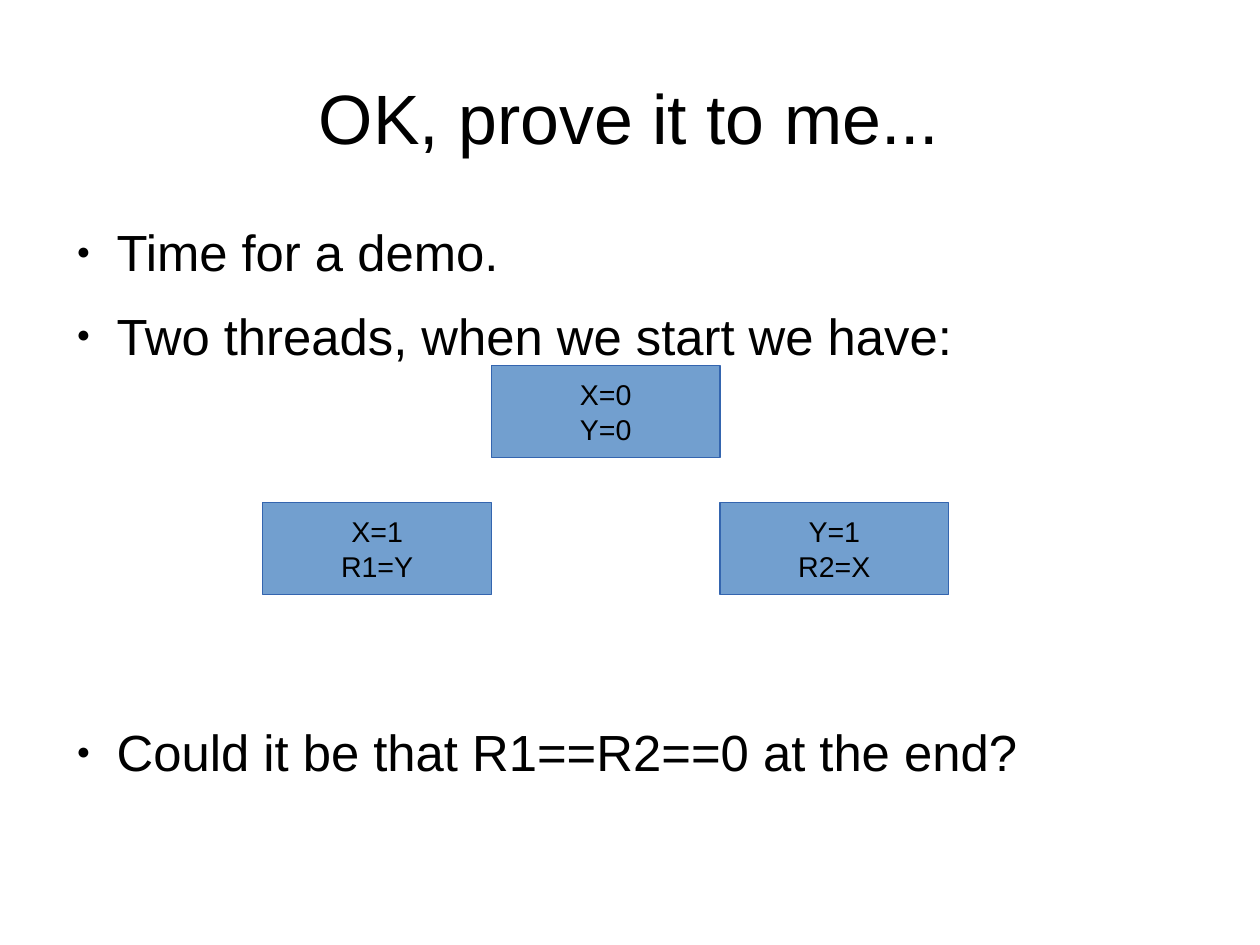
import pptx
import pptx.util
import pptx.dml.color
import pptx.enum.shapes
import pptx.enum.text
import pptx.oxml.ns
import lxml.etree

# Content
TITLE = "OK, prove it to me..."
BULLETS = [  # text, space before in points
    ("Time for a demo.", 0),
    ("Two threads, when we start we have:", 0),
    ("Could it be that R1==R2==0 at the end?", 209.8),
]
STATES = [  # column, row, lines
    (1, 0, ["X=0", "Y=0"]),
    (0, 1, ["X=1", "R1=Y"]),
    (2, 1, ["Y=1", "R2=X"]),
]

# Slide size in centimetres, layout in inches
WIDTH, HEIGHT = 28, 21
MARGIN, TEXT_W = 0.55, 9.92
GRID_X, GRID_Y = 2.3, 3.2
BOX_W, BOX_H, ROW_STEP = 2, 0.8, 1.2
INDENT, HANGING = 0.47, -0.35

Inches, Pt, Cm = pptx.util.Inches, pptx.util.Pt, pptx.util.Cm
CENTER = pptx.enum.text.PP_ALIGN.CENTER
MIDDLE = pptx.enum.text.MSO_ANCHOR.MIDDLE


def color(value):
    return pptx.dml.color.RGBColor.from_string(value)


def set_all(obj, values):
    for name, value in values.items():
        setattr(obj, name, value)


def frame(sp, insets, **values):
    tf = sp.text_frame
    x, y = map(Inches, insets)
    set_all(tf, dict(margin_left=x, margin_right=x, margin_top=y,
                     margin_bottom=y, **values))
    return tf


def write(p, text, size, **values):
    r = p.add_run()
    r.text = text
    set_all(r.font, {"name": "Arial", "size": Pt(size)})
    r.font.color.rgb = color("000000")
    set_all(p, values)


def add_bullet(p):
    qn = pptx.oxml.ns.qn
    pPr = p._p.get_or_add_pPr()
    for name, value in [("marL", INDENT), ("indent", HANGING)]:
        pPr.set(name, str(int(Inches(value))))
    bu_color = lxml.etree.SubElement(pPr, qn("a:buClr"))
    lxml.etree.SubElement(bu_color, qn("a:srgbClr"), val="000000")
    for tag, attrs in [("a:buSzPct", {"val": "45000"}),
                       ("a:buFont", {"typeface": "Arial"}),
                       ("a:buChar", {"char": "●"})]:
        lxml.etree.SubElement(pPr, qn(tag), attrs)


prs = pptx.Presentation()
set_all(prs, {"slide_width": Cm(WIDTH), "slide_height": Cm(HEIGHT)})
s = prs.slides.add_slide(prs.slide_layouts[6])

# Title
sp = s.shapes.add_textbox(*map(Inches, (MARGIN, 0.33, TEXT_W, 1.38)))
tf = frame(sp, (0, 0), word_wrap=True, vertical_anchor=MIDDLE)
write(tf.paragraphs[0], TITLE, 44, alignment=CENTER)

# Bullets, with room for the state boxes before the last one
sp = s.shapes.add_textbox(*map(Inches, (MARGIN, 1.93, TEXT_W, 4.79)))
tf = frame(sp, (0, 0), word_wrap=True)
for i, (text, before) in enumerate(BULLETS):
    p = tf.add_paragraph() if i else tf.paragraphs[0]
    add_bullet(p)
    write(p, text, 32, line_spacing=Pt(38.5), space_after=Pt(14.2))
    if before:
        p.space_before = Pt(before)

# State boxes
for col, row, lines in STATES:
    sp = s.shapes.add_shape(
        pptx.enum.shapes.MSO_SHAPE.RECTANGLE,
        Inches(GRID_X + col * BOX_W), Inches(GRID_Y + row * ROW_STEP),
        Inches(BOX_W), Inches(BOX_H))
    sp.shadow.inherit = False
    sp.fill.solid()
    sp.fill.fore_color.rgb = color("729FCF")
    sp.line.color.rgb = color("3465AF")
    sp.line.width = Pt(0)
    tf = frame(sp, (0.1, 0.05), word_wrap=False, vertical_anchor=MIDDLE)
    for i, text in enumerate(lines):
        p = tf.add_paragraph() if i else tf.paragraphs[0]
        write(p, text, 18, alignment=CENTER)

prs.save("out.pptx")
